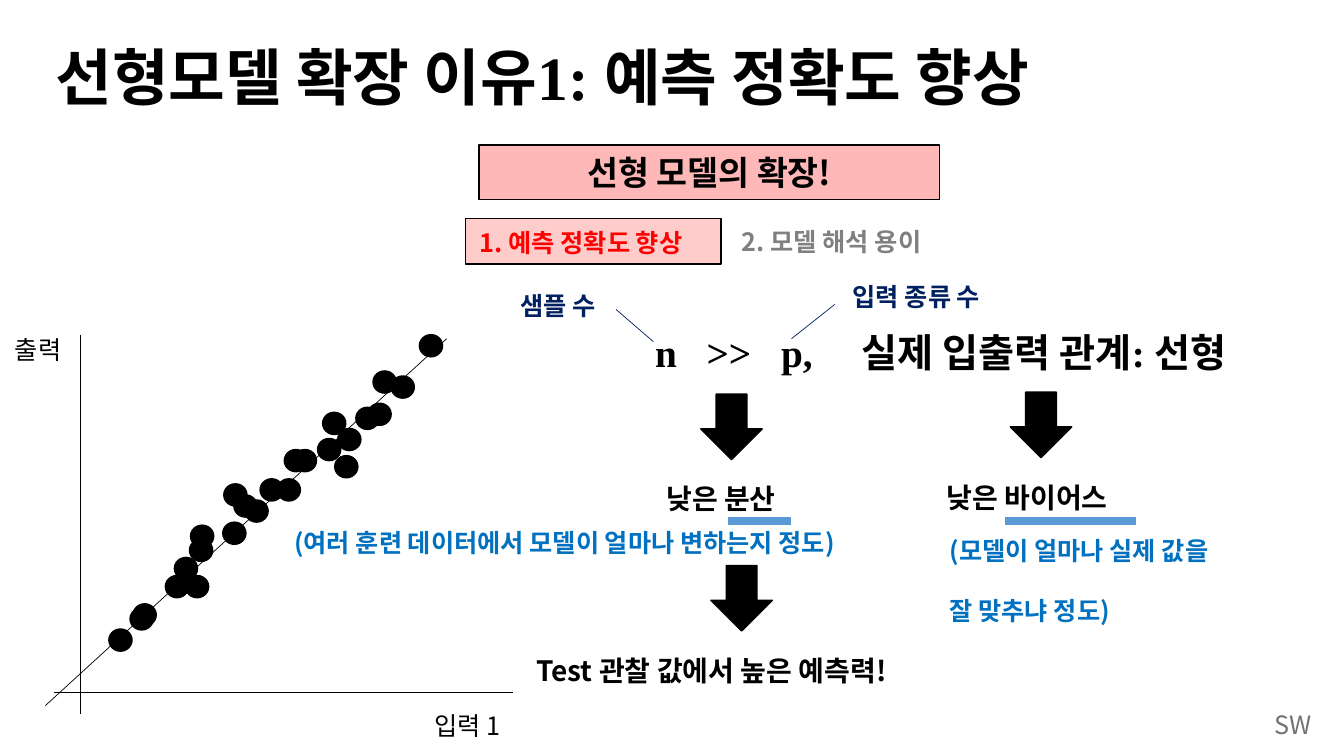
from lxml import etree
from pptx import Presentation, util as u
from pptx.dml.color import RGBColor
from pptx.enum import shapes, text
from pptx.oxml.ns import qn

BLACK = RGBColor(0, 0, 0)
RED = RGBColor(255, 0, 0)
GRAY = RGBColor(0x80, 0x80, 0x80)
SIGN_GRAY = RGBColor(0x76, 0x71, 0x71)
NAVY = RGBColor(0x00, 0x20, 0x60)
BLUE = RGBColor(0x00, 0x70, 0xC0)
LIGHT_BLUE = RGBColor(0x5B, 0x9B, 0xD5)
HANGUL = "Noto Sans CJK KR"
SERIF = "Times New Roman"

deck = Presentation()
deck.slide_width, deck.slide_height = u.Inches(13.33), u.Inches(7.5)
page = deck.slides.add_slide(deck.slide_layouts[5])
COL = deck.slide_width / 133.3
ROW = deck.slide_height / 75


def place(*cells):
    return [round(cell * unit) for cell, unit in zip(cells, (COL, ROW, COL, ROW))]


def add_span(para, words, size, colour, font=HANGUL, bold=True):
    span = para.add_run()
    span.text = words
    span.font.size, span.font.bold = u.Pt(size), bold
    span.font.name = font
    span.font.color.rgb = colour
    etree.SubElement(span.font._element, qn("a:ea"), typeface=HANGUL)


title = page.shapes.title
title.left, title.top, title.width, title.height = place(4.5, 0.7, 115, 14.5)
title.text_frame.auto_size = text.MSO_AUTO_SIZE.NONE
title.text_frame.vertical_anchor = text.MSO_ANCHOR.MIDDLE
title_para = title.text_frame.paragraphs[0]
title_para.alignment = text.PP_ALIGN.LEFT
title_para.line_spacing = 0.9
add_span(title_para, "선형모델 확장 이유1: 예측 정확도 향상", 44, BLACK, SERIF)

DOTS = [
    (31.5, 43.5), (23.2, 49.1), (22.1, 51.8), (18.4, 57.1), (28.2, 44.6), (18.8, 53.5),
    (36.5, 40), (22.2, 48), (16.4, 57.1), (13.2, 59.9), (18.9, 52.1), (25.8, 47.5),
    (33.5, 42.5), (38.8, 37.3), (33.2, 45.2), (32, 40.9), (29.1, 44.6), (35.3, 40.4),
    (37, 36.8), (27.5, 47.5), (17.3, 55.3), (41.6, 33.2), (10.8, 62.4), (24.3, 49.6),
    (12.9, 60.3),
]
ARROWS = [(100, 39.1), (69.3, 39.3), (70.3, 56.3)]
KIND = shapes.MSO_SHAPE
figures = [
    (KIND.RECTANGLE, (47.5, 14.4, 45.7, 5.4), RED, 28, 0, "선형 모델의 확장!"),
    (KIND.RECTANGLE, (46.2, 21.7, 25.3, 4.5), RED, 20, 0, ""),
]
figures += [(KIND.OVAL, (*dot, 2.3, 2.2), BLACK, 100, 0, "") for dot in DOTS]
figures += [(KIND.RIGHT_ARROW, (*arrow, 6.5, 6.1), BLACK, 100, 90, "") for arrow in ARROWS]

for kind, cells, colour, opacity, turn, words in figures:
    figure = page.shapes.add_shape(kind, *place(*cells))
    figure.shadow.inherit = False
    figure.rotation = turn
    figure.fill.solid()
    figure.fill.fore_color.rgb = colour
    if opacity < 100:
        tint = figure.fill._xPr.find(qn("a:solidFill"))[0]
        etree.SubElement(tint, qn("a:alpha"), val=str(opacity * 1000))
    figure.line.color.rgb = BLACK
    figure.line.width = u.Pt(1)
    if words:
        figure.text_frame.vertical_anchor = text.MSO_ANCHOR.MIDDLE
        para = figure.text_frame.paragraphs[0]
        para.alignment = text.PP_ALIGN.CENTER
        add_span(para, words, 24, BLACK)

LINES = [
    (8, 33.2, 8, 70.8, BLACK, 0.5),
    (5.4, 68.7, 50.9, 68.7, BLACK, 0.5),
    (4.5, 70, 44.3, 33.6, BLACK, 0.5),
    (78.5, 33.6, 82.8, 30.2, NAVY, 0.5),
    (64.8, 33.9, 61.1, 30.7, NAVY, 0.5),
    (72.2, 51.7, 78.5, 51.7, LIGHT_BLUE, 6),
    (99.7, 51.7, 112.7, 51.7, LIGHT_BLUE, 6),
]
for *ends, colour, weight in LINES:
    line = page.shapes.add_connector(shapes.MSO_CONNECTOR.STRAIGHT, *place(*ends))
    line.line.color.rgb = colour
    line.line.width = u.Pt(weight)
    etree.SubElement(line._element.spPr, qn("a:effectLst"))

LABELS = [
    ((125.4, 69.9, 5.8, 4), ["SW"], 18, SIGN_GRAY, HANGUL, False),
    ((46.6, 22.1, 24.5, 4), ["1. 예측 정확도 향상"], 18, RED, HANGUL, True),
    ((72.6, 22, 22, 4), ["2. 모델 해석 용이"], 18, GRAY, HANGUL, True),
    ((42.1, 70, 10.2, 4), ["입력 1"], 18, BLACK, HANGUL, False),
    ((0.5, 32.7, 7.1, 4), ["출력"], 18, BLACK, HANGUL, False),
    ((64, 32.1, 61.3, 5.7), ["n\t>>\tp,\t실제 입출력 관계: 선형"], 28, BLACK, SERIF, True),
    ((92.9, 47.2, 19.8, 4.4), ["낮은 바이어스"], 20, BLACK, HANGUL, True),
    ((65.1, 47.3, 14.2, 4.4), ["낮은 분산"], 20, BLACK, HANGUL, True),
    ((52.2, 64.3, 40.2, 4.4), ["Test 관찰 값에서 높은 예측력!"], 20, BLACK, HANGUL, True),
    ((83.6, 27.4, 16.4, 4), ["입력 종류 수"], 18, NAVY, HANGUL, True),
    ((50.6, 28.3, 10.5, 4), ["샘플 수"], 18, NAVY, HANGUL, True),
    ((28.2, 51.8, 63.1, 4), ["(여러 훈련 데이터에서 모델이 얼마나 변하는지 정도)"], 18, BLUE, HANGUL, True),
    ((93.2, 52.6, 31.8, 10.1), ["(모델이 얼마나 실제 값을", "잘 맞추냐 정도)"], 18, BLUE, HANGUL, True),
]
TAB_STOPS = (5.1, 12.5, 20.5)
for cells, rows, size, colour, font, bold in LABELS:
    box = page.shapes.add_textbox(*place(*cells))
    box.text_frame.word_wrap = True
    for number, words in enumerate(rows):
        para = box.text_frame.add_paragraph() if number else box.text_frame.paragraphs[0]
        if number:
            para.space_before = u.Pt(21.6)
        if "\t" in words:
            tabs = etree.SubElement(para._p.get_or_add_pPr(), qn("a:tabLst"))
            for stop in TAB_STOPS:
                etree.SubElement(tabs, qn("a:tab"), pos=str(round(stop * COL)), algn="l")
        add_span(para, words, size, colour, font, bold)

deck.save("out.pptx")
